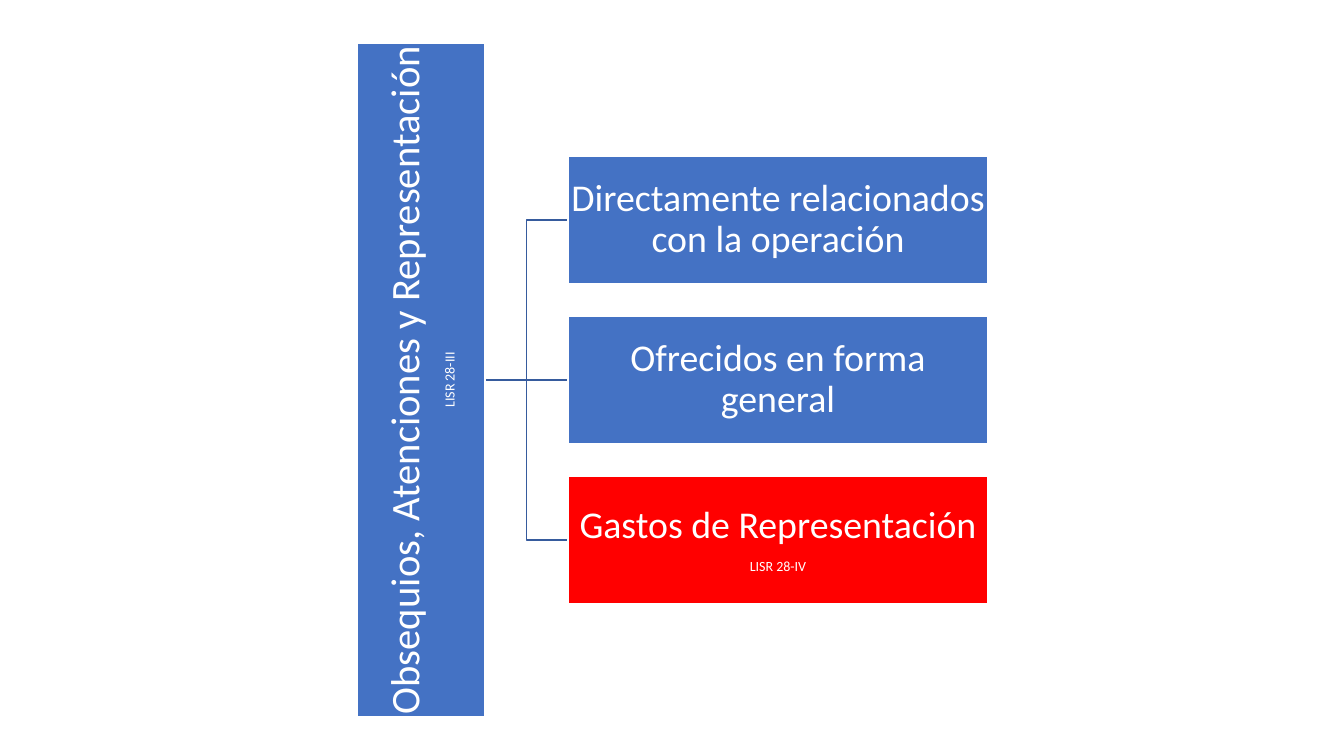
"""Build a slide with a horizontal hierarchy of gift and representation expenses."""
from lxml import etree
from pptx import Presentation
from pptx.dml.color import RGBColor
from pptx.enum.shapes import MSO_CONNECTOR, MSO_SHAPE
from pptx.enum.text import MSO_ANCHOR, PP_ALIGN
from pptx.oxml.ns import qn
from pptx.util import Pt

RECTANGLE = MSO_SHAPE.RECTANGLE
ELBOW, STRAIGHT = MSO_CONNECTOR.ELBOW, MSO_CONNECTOR.STRAIGHT
MIDDLE, CENTER = MSO_ANCHOR.MIDDLE, PP_ALIGN.CENTER

CONCEPT = [("Obsequios, Atenciones y Representación", 29), ("LISR 28-III", 10)]
CATEGORIES = [
    ([("Directamente relacionados con la operación", 27)], "blue"),
    ([("Ofrecidos en forma general", 27)], "blue"),
    ([("Gastos de Representación", 27), ("LISR 28-IV", 10)], "red"),
]
COLORS = {"blue": "4472C4", "red": "FF0000", "white": "FFFFFF", "branch": "365B9D"}
FONT = "Calibri"

EMU_PER_PX = 914400 / 100.8
SLIDE_W, SLIDE_H = 1344, 756
CONCEPT_X, CONCEPT_LENGTH = 421, 674
CATEGORY_LEFT, CATEGORY_W = 568, 420
BOX_H, PITCH = 128, 160
CENTER_Y = 380
INSET = 2


def px(length):
    return round(length * EMU_PER_PX)


def color(name):
    return RGBColor.from_string(COLORS[name])


def add_box(slide, center_x, center_y, width, lines, fill, rotation=0):
    box = slide.shapes.add_shape(
        RECTANGLE, px(center_x - width / 2), px(center_y - BOX_H / 2), px(width), px(BOX_H))
    box.rotation = rotation
    box.shadow.inherit = False
    box.fill.solid()
    box.fill.fore_color.rgb = color(fill)
    box.line.color.rgb = color("white")
    box.line.width = Pt(1)
    frame = box.text_frame
    frame.word_wrap = True
    frame.vertical_anchor = MIDDLE
    frame.margin_left = frame.margin_right = px(INSET)
    frame.margin_top = frame.margin_bottom = px(INSET)
    for index, (text, size) in enumerate(lines):
        paragraph = frame.add_paragraph() if index else frame.paragraphs[0]
        paragraph.text = text
        paragraph.alignment = CENTER
        paragraph.line_spacing = 0.9
        paragraph.space_after = Pt(size * 0.35)
        paragraph.font.size = Pt(size)
        paragraph.font.name = FONT
        paragraph.font.color.rgb = color("white")


def add_branch(slide, end_y):
    kind = STRAIGHT if end_y == CENTER_Y else ELBOW
    branch = slide.shapes.add_connector(
        kind, px(CONCEPT_X + BOX_H / 2), px(CENTER_Y), px(CATEGORY_LEFT), px(end_y))
    branch.line.color.rgb = color("branch")
    branch.line.width = Pt(1)
    etree.SubElement(branch._element.spPr, qn("a:effectLst"))


def main():
    deck = Presentation()
    deck.slide_width, deck.slide_height = px(SLIDE_W), px(SLIDE_H)
    slide = deck.slides.add_slide(deck.slide_layouts[6])
    middle = (len(CATEGORIES) - 1) / 2
    centers = [CENTER_Y + (row - middle) * PITCH for row in range(len(CATEGORIES))]
    for center_y in centers:
        add_branch(slide, center_y)
    add_box(slide, CONCEPT_X, CENTER_Y, CONCEPT_LENGTH, CONCEPT, "blue", 270)
    for center_y, (lines, fill) in zip(centers, CATEGORIES):
        add_box(slide, CATEGORY_LEFT + CATEGORY_W / 2, center_y, CATEGORY_W, lines, fill)
    deck.save("out.pptx")


if __name__ == "__main__":
    main()
